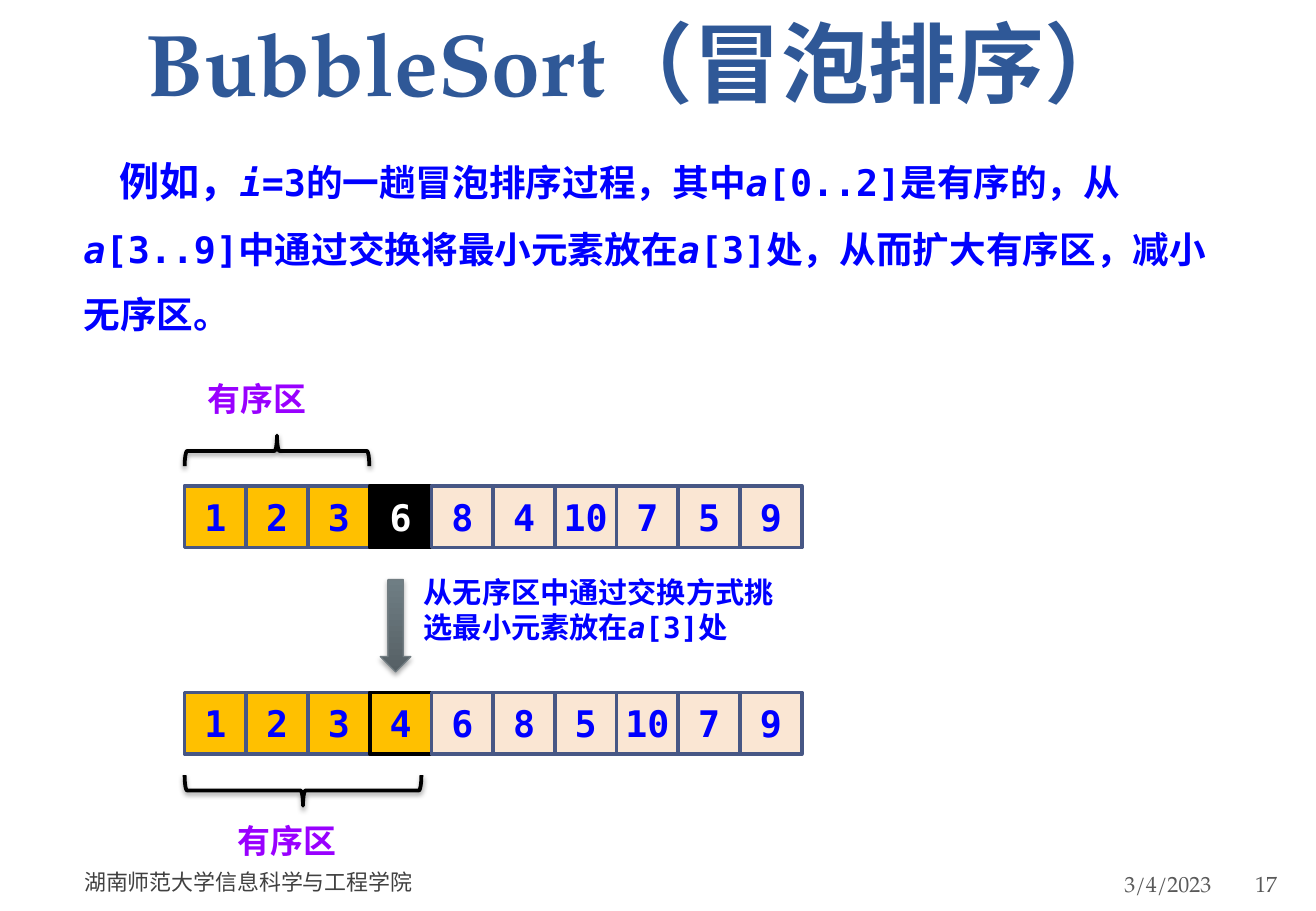
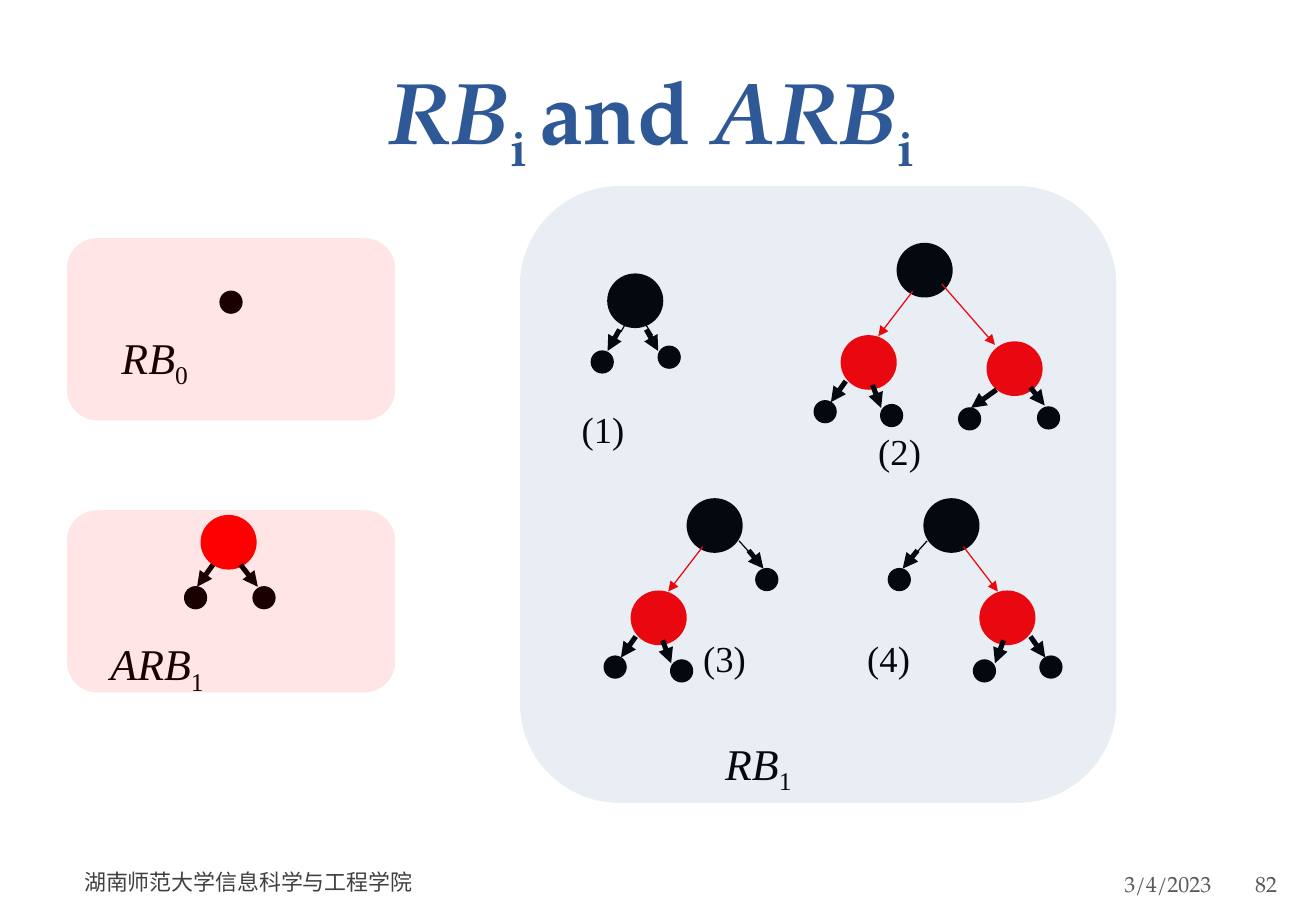
import pptx
import pptx.util
import pptx.dml.color
import pptx.enum.lang
import pptx.enum.shapes
import pptx.enum.text
import pptx.oxml
import pptx.oxml.ns

Cm = pptx.util.Cm
Pt = pptx.util.Pt
qn = pptx.oxml.ns.qn
SHAPE = pptx.enum.shapes.MSO_SHAPE
ALIGN = pptx.enum.text.PP_ALIGN
ANCHOR = pptx.enum.text.MSO_ANCHOR

COLORS = {
    "title": "2F5897", "date": "595959", "footer": "404040",
    "blue": "0000FF", "purple": "9900FF", "white": "FFFFFF",
    "black": "000000", "red": "FF0000", "sorted": "FFC000",
    "unsorted": "FAE6D3", "cell_line": "475785",
    "arrow_dark": "566065", "arrow_light": "6F7E84", "arrow_line": "727D82",
}
SERIF, MONO, ROMAN = "TeX Gyre Pagella", "DejaVu Sans Mono", "Times New Roman"

FOOTERS = [
    ("3/4/2023", (19.18, 17.96, 6.27, 1.02), "date", ALIGN.RIGHT, (0.25, 0.13)),
    ("湖南师范大学信息科学与工程学院", (1.63, 17.93, 17.32, 1.02), "footer", ALIGN.LEFT, (0.13, 0.25)),
]
NUMBER_BOX = (26.16, 17.96, 1.24, 1.02)

SORT_TITLE = [("BubbleSort（冒泡排序）", "")]
SORT_INTRO = [
    ("例如，", "big"), ("i", "i"), ("=3的一趟冒泡排序过程，其中", ""), ("a", "i"),
    ("[0..2]是有序的，从", ""), ("a", "i"), ("[3..9]中通过交换将最小元素放在", ""),
    ("a", "i"), ("[3]处，从而扩大有序区，减小无序区。", ""),
]
SORT_STEP = [("从无序区中通过交换方式挑选最小元素放在", ""), ("a", "i"), ("[3]处", "")]
CELL, ROW_LEFT, PIVOT = 1.29, 3.86, 3
ROWS = [
    (10.16, [1, 2, 3, 6, 8, 4, 10, 7, 5, 9], ("black", "white")),
    (14.48, [1, 2, 3, 4, 6, 8, 5, 10, 7, 9], ("sorted", "blue")),
]
BRACES = [(9.11, 3.86, 90), (16.21, 4.95, 270)]
BRACE_DEPTH = 0.64
REGION_LABELS = [(4.09, 7.8), (4.72, 17.04)]

TREE_TITLE = [("RB", "i"), ("i ", "sub"), ("and ", ""), ("ARB", "i"), ("i ", "sub")]
NODES = {"big": (1.12, 1.09, 1.5), "leaf": (0.46, 0.46, 0.75)}
EDGES = {"thick": ("black", 3, True), "red": ("red", 0.75, True), "thin": ("black", 0.75, False)}

LEFT_RED = {
    "nodes": [("big", "red", -1.17, 1.93), ("leaf", "black", -2.08, 2.96), ("leaf", "black", -0.69, 3.04)],
    "edges": [("red", -0.25, 0.44, -0.97, 1.38), ("thick", -1.65, 2.32, -1.96, 2.76),
              ("thick", -1.09, 2.4, -0.91, 2.88)],
}
RIGHT_RED = {
    "nodes": [("big", "red", 1.88, 2.06), ("leaf", "black", 2.59, 3.09), ("leaf", "black", 0.94, 3.11)],
    "edges": [("red", 0.36, 0.29, 1.47, 1.56), ("thick", 2.21, 2.45, 2.51, 2.83),
              ("thick", 1.5, 2.5, 0.97, 2.88)],
}
RIGHT_LEAF = {
    "nodes": [("leaf", "black", 1.09, 1.13)],
    "edges": [("thin", 0.51, 0.32, 0.76, 0.6), ("thick", 0.71, 0.52, 1.02, 0.9)],
}
ARB_LEAVES = {
    "nodes": [("leaf", "black", -0.69, 1.16), ("leaf", "black", 0.74, 1.16)],
    "edges": [("thick", -0.33, 0.47, -0.66, 0.93), ("thick", 0.25, 0.47, 0.61, 0.93)],
}
RB_LEAVES = {
    "nodes": [("leaf", "black", -0.69, 1.28), ("leaf", "black", 0.71, 1.18)],
    "edges": [("thin", -0.18, 0.44, -0.3, 0.65), ("thin", 0.15, 0.39, 0.36, 0.72),
              ("thick", -0.33, 0.6, -0.58, 1.05), ("thick", 0.23, 0.6, 0.48, 1.05)],
}
TREES = [
    ("leaf", "black", 4.83, 6.32, 1, []),
    ("big", "red", 4.78, 11.34, 1, [ARB_LEAVES]),
    ("big", "black", 13.28, 6.29, 1, [RB_LEAVES]),
    ("big", "black", 19.33, 5.65, 1, [LEFT_RED, RIGHT_RED]),
    ("big", "black", 14.94, 10.99, 1, [LEFT_RED, RIGHT_LEAF]),
    ("big", "black", 19.89, 10.99, -1, [LEFT_RED, RIGHT_LEAF]),
]
SET_LABELS = [("RB", "0", 2.29, 6.78), ("ARB", "1", 2.06, 13.18), ("RB", "1", 14.91, 15.27)]
CASE_LABELS = [("(1)", 11.91, 8.38), ("(2)", 18.11, 8.84), ("(3)", 14.45, 13.18), ("(4)", 17.88, 13.18)]
PANELS = [
    ((1.4, 4.98, 6.86, 3.81), "red"),
    ((1.4, 10.67, 6.86, 3.81), "red"),
    ((10.87, 3.89, 12.47, 12.9), "title"),
]


def rgb(name):
    return pptx.dml.color.RGBColor.from_string(COLORS[name])


def box(left, top, width, height):
    return Cm(left), Cm(top), Cm(width), Cm(height)


def write(tf, runs, size, font, color, bold=False, align=ALIGN.LEFT, anchor=ANCHOR.TOP):
    tf.word_wrap = True
    tf.auto_size = pptx.enum.text.MSO_AUTO_SIZE.NONE
    tf.vertical_anchor = anchor
    p = tf.paragraphs[0]
    p.alignment = align
    for text, style in runs:
        r = p.add_run()
        r.text = text
        r.font.name = font
        r.font.size = Pt(23.8 if style == "big" else size)
        r.font.bold = bold
        r.font.italic = style == "i"
        r.font.color.rgb = rgb(color)
        r.font.language_id = pptx.enum.lang.MSO_LANGUAGE_ID.SIMPLIFIED_CHINESE
        if style == "sub":
            r.font._element.set("baseline", "-25000")
    return p


def add_text(slide, pos, runs, *args, **kwargs):
    tf = slide.shapes.add_textbox(*box(*pos)).text_frame
    return tf, write(tf, runs, *args, **kwargs)


def add_shape(slide, kind, pos, fill=None, line=None, width=0.75):
    sp = slide.shapes.add_shape(kind, *box(*pos))
    sp.shadow.inherit = False
    if fill:
        sp.fill.solid()
        sp.fill.fore_color.rgb = rgb(fill)
    else:
        sp.fill.background()
    if line:
        sp.line.color.rgb = rgb(line)
        sp.line.width = Pt(width)
    else:
        sp.line.fill.background()
    return sp


def add_shadow(sp, alpha, distance):
    effects = sp._element.spPr.find(qn("a:effectLst"))
    shadow = pptx.oxml.parse_xml(
        '<a:outerShdw xmlns:a="http://schemas.openxmlformats.org/drawingml/2006/main" '
        f'blurRad="{Pt(3.1)}" dist="{Pt(distance)}" dir="5400000" rotWithShape="0">'
        f'<a:srgbClr val="{COLORS["black"]}"><a:alpha val="{alpha * 1000}"/></a:srgbClr></a:outerShdw>')
    effects.append(shadow)


def add_edge(slide, style, x1, y1, x2, y2):
    color, width, arrow = EDGES[style]
    line = slide.shapes.add_connector(
        pptx.enum.shapes.MSO_CONNECTOR.STRAIGHT, Cm(x1), Cm(y1), Cm(x2), Cm(y2))
    line.line.color.rgb = rgb(color)
    line.line.width = Pt(width)
    spPr = line._element.spPr
    if arrow:
        tail = pptx.oxml.xmlchemy.OxmlElement("a:tailEnd")
        tail.set("type", "triangle")
        spPr.find(qn("a:ln")).append(tail)
    spPr.append(pptx.oxml.xmlchemy.OxmlElement("a:effectLst"))


def add_node(slide, kind, color, x, y):
    w, h, width = NODES[kind]
    add_shape(slide, SHAPE.OVAL, (x - w / 2, y - h / 2, w, h), color, color, width)


def add_tree(slide, kind, color, x, y, side, parts):
    add_node(slide, kind, color, x, y)
    for part in parts:
        for node_kind, node_color, dx, dy in part["nodes"]:
            add_node(slide, node_kind, node_color, x + side * dx, y + dy)
        for style, x1, y1, x2, y2 in part["edges"]:
            add_edge(slide, style, x + side * x1, y + y1, x + side * x2, y + y2)


def new_slide(prs, title, title_box, number):
    slide = prs.slides.add_slide(prs.slide_layouts[5])
    sp = slide.shapes.title
    sp.left, sp.top, sp.width, sp.height = box(*title_box)
    p = write(sp.text_frame, title, 52, SERIF, "title", True, ALIGN.CENTER, ANCHOR.BOTTOM)
    p.line_spacing = Pt(62.8)
    page = (number, NUMBER_BOX, "date", ALIGN.LEFT, (0.08, 0.13))
    for text, pos, color, align, (left, right) in FOOTERS + [page]:
        tf, p = add_text(slide, pos, [(text, "")], 13, SERIF, color, align=align, anchor=ANCHOR.MIDDLE)
        tf.margin_left, tf.margin_right = Cm(left), Cm(right)
    return slide


def build_sort(prs):
    slide = new_slide(prs, SORT_TITLE, (0.97, 0, 24.77, 2.51), "17")
    tf, p = add_text(slide, (1.5, 2.64, 24.69, 4.39), SORT_INTRO, 21.7, MONO, "blue", True)
    p.line_spacing = 1.5
    p._p.get_or_add_pPr().set("indent", str(Cm(0.75)))

    for top, values, pivot_colors in ROWS:
        for i, value in enumerate(values):
            fill, color = ("sorted" if i < PIVOT else "unsorted"), "blue"
            line = "cell_line"
            if i == PIVOT:
                (fill, color), line = pivot_colors, "black"
            sp = add_shape(slide, SHAPE.RECTANGLE, (ROW_LEFT + i * CELL, top, CELL, CELL), fill, line, 2.25)
            sp.text_frame.margin_left = sp.text_frame.margin_right = 0
            write(sp.text_frame, [(str(value), "")], 21.7, MONO, color, True, ALIGN.CENTER, ANCHOR.MIDDLE)

    for top, span, turn in BRACES:
        shift = (span - BRACE_DEPTH) / 2
        sp = add_shape(slide, SHAPE.LEFT_BRACE, (ROW_LEFT + shift, top - shift, BRACE_DEPTH, span),
                       None, "black", 2.25)
        sp.rotation = turn
        add_shadow(sp, 38, 1.6)
    for left, top in REGION_LABELS:
        add_text(slide, (left, top, 3.23, 1.09), [("有序区", "")], 19.5, MONO, "purple", True)

    add_text(slide, (8.61, 11.89, 8.18, 1.73), SORT_STEP, 17.3, MONO, "blue", True)
    arrow = add_shape(slide, SHAPE.DOWN_ARROW, (7.95, 12.12, 0.64, 1.93), None, "arrow_line")
    arrow.fill.gradient()
    arrow.fill.gradient_angle = 90
    for stop, color, position in zip(arrow.fill.gradient_stops, ("arrow_dark", "arrow_light"), (0, 1)):
        stop.color.rgb = rgb(color)
        stop.position = position
    add_shadow(arrow, 35, 1.8)


def build_trees(prs):
    slide = new_slide(prs, TREE_TITLE, (1.37, 0.91, 24.77, 2.92), "82")
    for tree in TREES:
        add_tree(slide, *tree)
    for name, index, left, top in SET_LABELS:
        add_text(slide, (left, top, 5.6, 1.37), [(name, "i"), (index, "sub")], 26, ROMAN, "black")
    for text, left, top in CASE_LABELS:
        add_text(slide, (left, top, 3.2, 1.19), [(text, "")], 21.7, ROMAN, "black")
    for pos, color in PANELS:
        sp = add_shape(slide, SHAPE.ROUNDED_RECTANGLE, pos, color)
        alpha = pptx.oxml.xmlchemy.OxmlElement("a:alpha")
        alpha.set("val", "10000")
        sp._element.spPr.find(qn("a:solidFill"))[0].append(alpha)


def main():
    prs = pptx.Presentation()
    prs.slide_width, prs.slide_height = Cm(27.51), Cm(19.05)
    build_sort(prs)
    build_trees(prs)
    prs.save("out.pptx")


if __name__ == "__main__":
    main()
